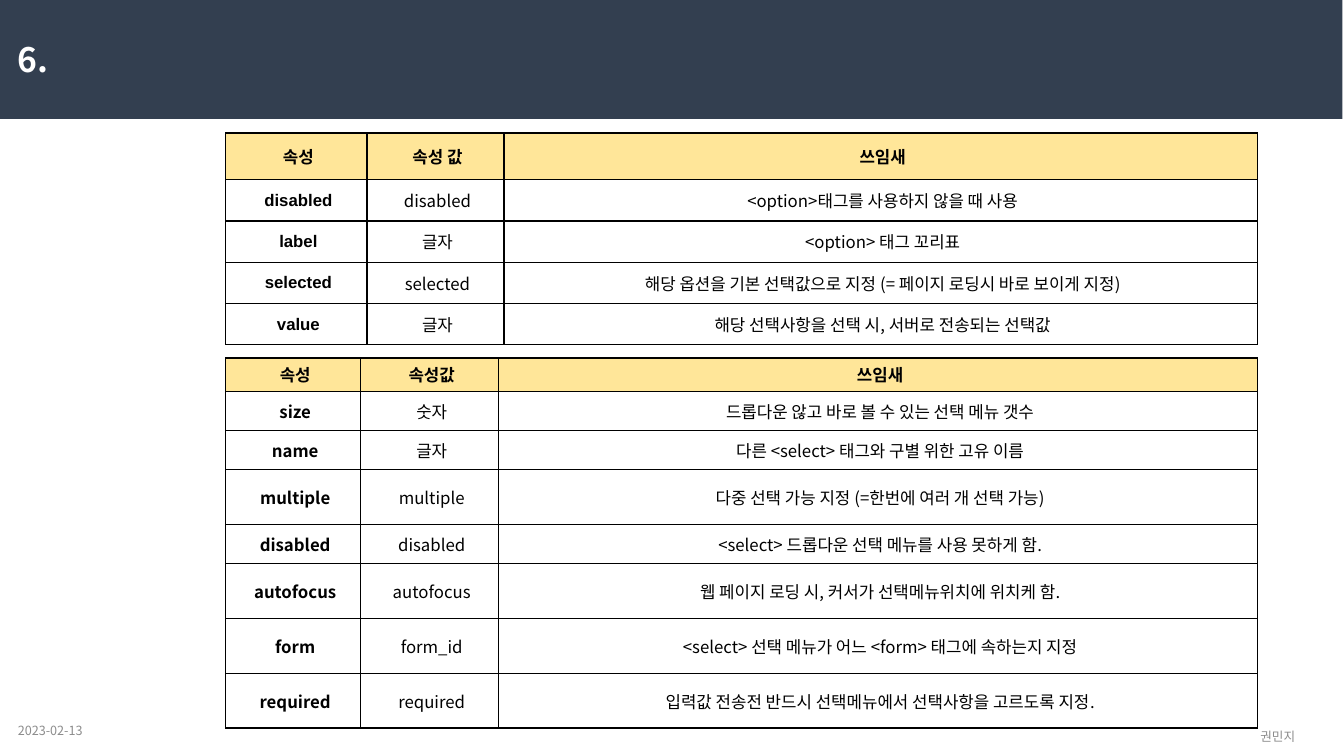
import pptx
import pptx.util
import pptx.dml.color
import pptx.enum.shapes
import pptx.enum.text
import pptx.oxml
import pptx.oxml.ns

Cm = pptx.util.Cm
COLORS = {"band": "333F50", "header": "FFE699", "text": "000000",
          "title": "FFFFFF", "footer": "8C8C8C"}
KOREAN_FONT = "Noto Sans CJK KR"
ALIGN = pptx.enum.text.PP_ALIGN
ANCHOR = pptx.enum.text.MSO_ANCHOR

OPTION_ROWS = [
    ("속성", "속성 값", "쓰임새"),
    ("disabled", "disabled", "<option>태그를 사용하지 않을 때 사용"),
    ("label", "글자", "<option> 태그 꼬리표"),
    ("selected", "selected", "해당 옵션을 기본 선택값으로 지정 (= 페이지 로딩시 바로 보이게 지정)"),
    ("value", "글자", "해당 선택사항을 선택 시, 서버로 전송되는 선택값"),
]
SELECT_ROWS = [
    ("속성", "속성값", "쓰임새"),
    ("size", "숫자", "드롭다운 않고 바로 볼 수 있는 선택 메뉴 갯수"),
    ("name", "글자", "다른 <select> 태그와 구별 위한 고유 이름"),
    ("multiple", "multiple", "다중 선택 가능 지정 (=한번에 여러 개 선택 가능)"),
    ("disabled", "disabled", "<select> 드롭다운 선택 메뉴를 사용 못하게 함."),
    ("autofocus", "autofocus", "웹 페이지 로딩 시, 커서가 선택메뉴위치에 위치케 함."),
    ("form", "form_id", "<select> 선택 메뉴가 어느 <form> 태그에 속하는지 지정"),
    ("required", "required", "입력값 전송전 반드시 선택메뉴에서 선택사항을 고르도록 지정."),
]


def rgb(name):
    """Return the palette colour with this name."""
    return pptx.dml.color.RGBColor.from_string(COLORS[name])


def write_text(frame, text, size=12, color="text", bold=False, font=KOREAN_FONT, align=ALIGN.LEFT):
    """Write one formatted paragraph into a text frame."""
    paragraph = frame.paragraphs[0]
    paragraph.alignment = align
    run = paragraph.add_run()
    run.text = text
    run.font.size = pptx.util.Pt(size)
    run.font.bold = bold
    run.font.name = font
    run.font.color.rgb = rgb(color)
    east_asian = pptx.oxml.parse_xml(
        f'<a:ea {pptx.oxml.ns.nsdecls("a")} typeface="{KOREAN_FONT}"/>')
    run.font._element.find(pptx.oxml.ns.qn("a:latin")).addnext(east_asian)


def add_text_box(slide, box, text, anchor=ANCHOR.MIDDLE, **text_format):
    """Add a wrapped text box at the box given in centimetres."""
    frame = slide.shapes.add_textbox(*map(Cm, box)).text_frame
    frame.word_wrap = True
    frame.vertical_anchor = anchor
    write_text(frame, text, **text_format)


def add_header(slide, box):
    """Add the dark title band with its number."""
    left, top, width, height = box
    band = slide.shapes.add_shape(pptx.enum.shapes.MSO_SHAPE.RECTANGLE, *map(Cm, box))
    band.shadow.inherit = False
    band.fill.solid()
    band.fill.fore_color.rgb = rgb("band")
    band.line.fill.background()
    add_text_box(slide, (left + 0.2, top + 0.86, width - 1.53, 1.27), "6.",
                 anchor=ANCHOR.TOP, size=24, color="title", bold=True)


def add_footer(slide, box):
    """Add the date on the left and the author on the right."""
    left, top, width, height = box
    add_text_box(slide, (left, top, 7.62, height), "2023-02-13", size=9, color="footer")
    add_text_box(slide, (left + width - 3.28, top + 0.13, 3.28, height), "권민지",
                 size=9, color="footer", align=ALIGN.CENTER)


def add_borders(cell):
    """Draw a thin black line on all four sides of a cell."""
    properties = cell._tc.get_or_add_tcPr()
    for index, side in enumerate("LRTB"):
        line = pptx.oxml.parse_xml(
            f'<a:ln{side} {pptx.oxml.ns.nsdecls("a")} w="12700"><a:solidFill>'
            f'<a:srgbClr val="{COLORS["text"]}"/></a:solidFill></a:ln{side}>')
        properties.insert(index, line)


def add_attribute_table(slide, box, rows, widths, heights, label_font, padding):
    """Add a bordered table of attributes, their values and their use."""
    frame = slide.shapes.add_table(len(rows), len(widths), *map(Cm, box))
    table = frame.table
    table.horz_banding = False
    for column, width in zip(table.columns, widths):
        column.width = Cm(width)
    for row_index, (texts, height) in enumerate(zip(rows, heights)):
        table.rows[row_index].height = Cm(height)
        for column_index, text in enumerate(texts):
            cell = table.cell(row_index, column_index)
            is_label = row_index == 0 or column_index == 0
            cell.vertical_anchor = ANCHOR.MIDDLE
            cell.margin_left, cell.margin_right = Cm(0.2), Cm(0.1)
            cell.margin_top = cell.margin_bottom = Cm(padding)
            if row_index == 0:
                cell.fill.solid()
                cell.fill.fore_color.rgb = rgb("header")
            else:
                cell.fill.background()
            add_borders(cell)
            write_text(cell.text_frame, text, bold=is_label, align=ALIGN.CENTER,
                       font=label_font if is_label else KOREAN_FONT)


def main():
    """Build the slide and save it."""
    presentation = pptx.Presentation()
    presentation.slide_width, presentation.slide_height = Cm(33.87), Cm(19.05)
    slide = presentation.slides.add_slide(presentation.slide_layouts[6])
    add_header(slide, (0, 0, 33.83, 3))
    add_footer(slide, (0.2, 17.91, 33.64, 1.02))
    add_attribute_table(slide, (5.69, 3.35, 26, 5.34), OPTION_ROWS, (3.56, 3.45, 18.99),
                        [1.18] + [1.04] * 4, "Arial", 0.12)
    add_attribute_table(slide, (5.69, 9.02, 26, 9.33), SELECT_ROWS, (3.4, 3.48, 19.12),
                        [0.84, 0.99, 0.99, 1.38, 0.99] + [1.38] * 3, KOREAN_FONT, 0.08)
    presentation.save("out.pptx")


if __name__ == "__main__":
    main()
